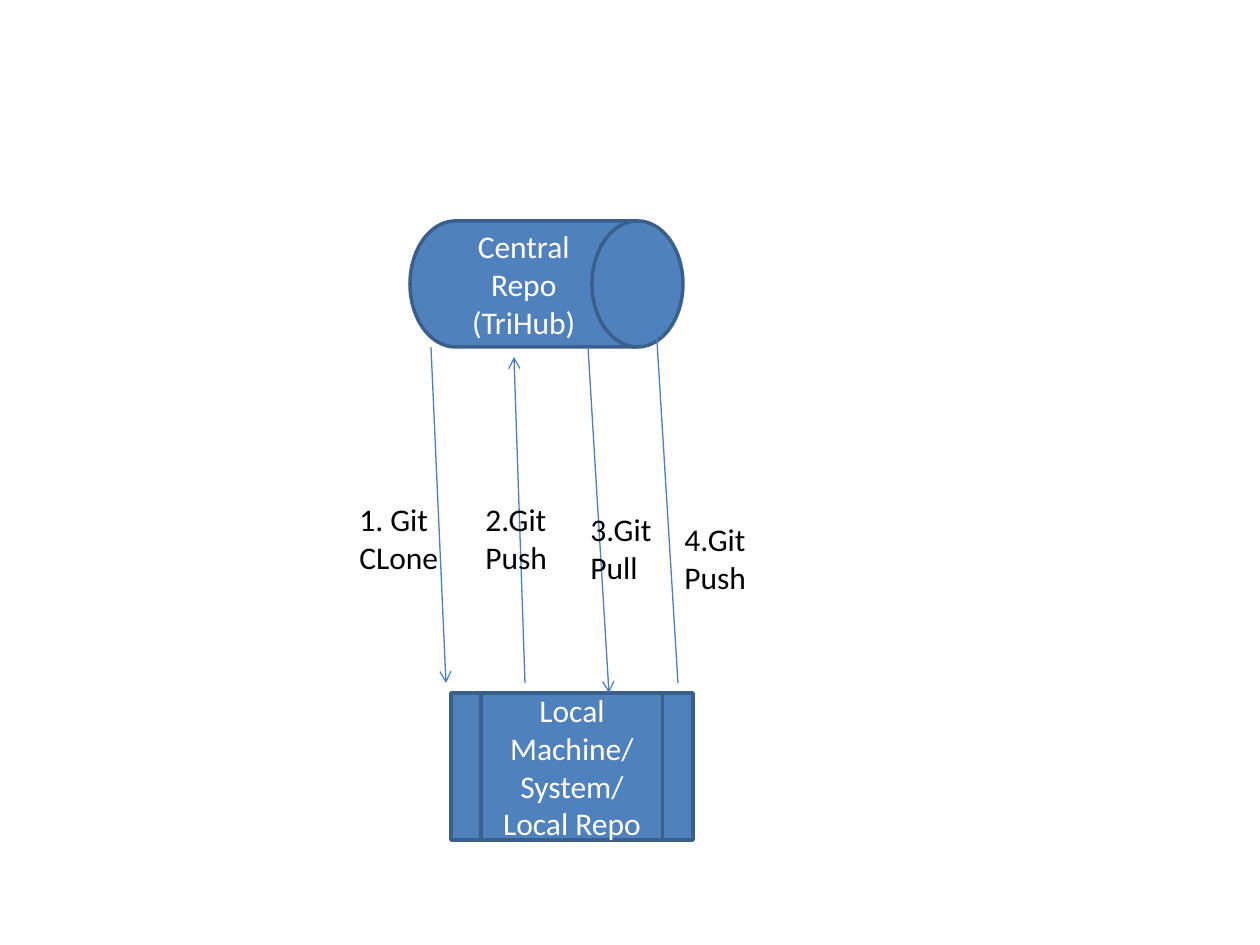
from lxml import etree
from pptx import Presentation
from pptx.dml.color import RGBColor
from pptx.enum.shapes import MSO_CONNECTOR, MSO_SHAPE
from pptx.enum.text import MSO_ANCHOR, MSO_AUTO_SIZE, PP_ALIGN
from pptx.oxml.ns import qn
from pptx.util import Emu, Pt

DRUM = MSO_SHAPE.FLOWCHART_MAGNETIC_DISK.FLOWCHART_DIRECT_ACCESS_STORAGE
PROCESS = MSO_SHAPE.FLOWCHART_PREDEFINED_PROCESS
STRAIGHT = MSO_CONNECTOR.STRAIGHT
MIDDLE, TOP = MSO_ANCHOR.MIDDLE, MSO_ANCHOR.TOP
CENTER, LEFT = PP_ALIGN.CENTER, PP_ALIGN.LEFT
GROW = MSO_AUTO_SIZE.SHAPE_TO_FIT_TEXT

FILL = RGBColor(0x4F, 0x81, 0xBD)
OUTLINE = RGBColor(0x3A, 0x5F, 0x8C)
ARROW = RGBColor(0x4B, 0x7E, 0xBC)
WHITE = RGBColor(0xFF, 0xFF, 0xFF)
BLACK = RGBColor(0x00, 0x00, 0x00)

PX_PER_INCH = 126
LABEL_HEIGHT = 89

REPOSITORIES = [
    (DRUM, (410, 221, 273, 126), ["Central Repo (TriHub)"]),
    (PROCESS, (451, 693, 242, 147), ["Local Machine/", "System/", "Local Repo"]),
]
STEPS = [
    ((431, 347, 446, 683), (347, 494, 136), ["1. Git CLone"]),
    ((525, 683, 514, 357), (473, 494, 116), ["2.Git", "Push"]),
    ((588, 347, 609, 693), (578, 504, 136), ["3.Git", "Pull"]),
    ((678, 683, 656, 325), (672, 514, 94), ["4.Git", "Push"]),
]


def px(*lengths):
    return [Emu(round(length * 914400 / PX_PER_INCH)) for length in lengths]


def write(shape, lines, color, alignment, anchor):
    frame = shape.text_frame
    frame.word_wrap = True
    frame.vertical_anchor = anchor
    for index, line in enumerate(lines):
        paragraph = frame.add_paragraph() if index else frame.paragraphs[0]
        paragraph.alignment = alignment
        run = paragraph.add_run()
        run.text = line
        run.font.name = "Calibri"
        run.font.size = Pt(18)
        run.font.color.rgb = color


def add_repository(slide, kind, box, lines):
    shape = slide.shapes.add_shape(kind, *px(*box))
    shape.shadow.inherit = False
    shape.fill.solid()
    shape.fill.fore_color.rgb = FILL
    shape.line.color.rgb = OUTLINE
    shape.line.width = Pt(2)
    write(shape, lines, WHITE, CENTER, MIDDLE)


def add_step(slide, ends, box, lines):
    connector = slide.shapes.add_connector(STRAIGHT, *px(*ends))
    connector.line.color.rgb = ARROW
    connector.line.width = Pt(0.75)
    properties = connector.element.spPr
    etree.SubElement(properties.find(qn("a:ln")), qn("a:tailEnd"), type="arrow")
    etree.SubElement(properties, qn("a:effectLst"))
    label = slide.shapes.add_textbox(*px(*box, LABEL_HEIGHT))
    write(label, lines, BLACK, LEFT, TOP)
    label.text_frame.auto_size = GROW


def main():
    """Build the slide of Git steps between a central and a local repository."""
    presentation = Presentation()
    presentation.slide_width, presentation.slide_height = px(1260, 945)
    slide = presentation.slides.add_slide(presentation.slide_layouts[6])
    for repository in REPOSITORIES:
        add_repository(slide, *repository)
    for step in STEPS:
        add_step(slide, *step)
    presentation.save("out.pptx")


if __name__ == "__main__":
    main()
